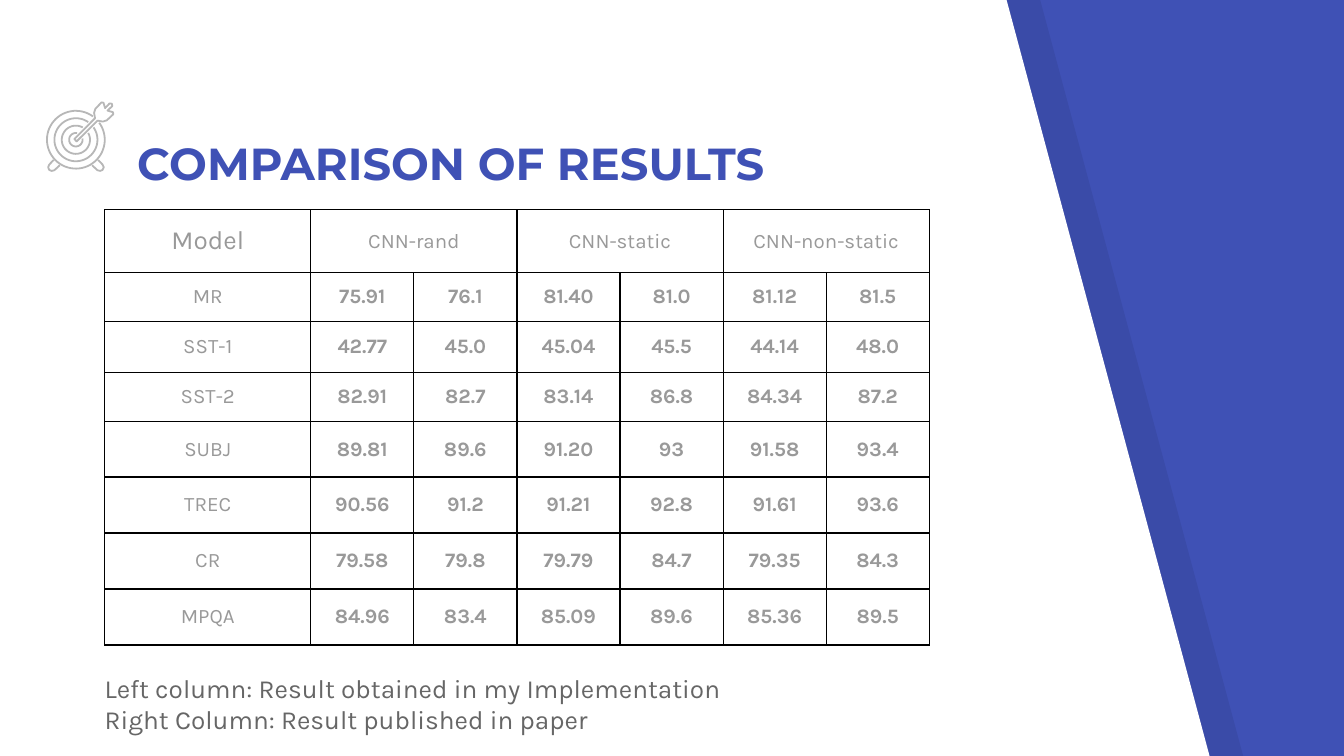
import dataclasses
import math

import pptx
import pptx.dml.color
import pptx.enum.text
import pptx.oxml
import pptx.oxml.ns
import pptx.util


@dataclasses.dataclass(frozen=True)
class Theme:
    """Colours, fonts and sizes of the slide."""
    accent: str = "3F51B5"
    paper: str = "FFFFFF"
    shade: str = "000000"
    rule: str = "000000"
    icon: str = "B7B7B7"
    table_text: str = "999999"
    caption_text: str = "666666"
    heading_font: str = "Montserrat"
    body_font: str = "Karla"
    title_size: float = 24
    large_size: float = 14
    cell_size: float = 11
    rule_width: float = 0.75
    icon_width: float = 0.96
    shade_opacity: int = 7


class SlideBuilder:
    """Places styled elements on a grid of 100 columns by 56.25 rows."""
    COLUMNS, ROWS = 100, 56.25

    def __init__(self, presentation, theme):
        """Add a title-only slide with an accent background."""
        self.theme = theme
        self.unit = presentation.slide_width / self.COLUMNS
        self.slide = presentation.slides.add_slide(presentation.slide_layouts[5])
        background = self.slide.background.fill
        background.solid()
        background.fore_color.rgb = self.color(theme.accent)

    def color(self, value):
        """Turn a hex string into a colour."""
        return pptx.dml.color.RGBColor.from_string(value)

    def length(self, units):
        """Turn grid units into a length."""
        return pptx.util.Emu(round(units * self.unit))

    def styled_run(self, paragraph, text, size, color, font, bold=False):
        """Add one styled run to a paragraph."""
        run = paragraph.add_run()
        run.text = text
        run.font.size = pptx.util.Pt(size)
        run.font.name = font
        run.font.bold = bold
        run.font.color.rgb = self.color(color)

    def frame(self, shape, anchor):
        """Set wrapping, insets and anchor of a text shape."""
        frame = shape.text_frame
        frame.word_wrap = True
        frame.auto_size = pptx.enum.text.MSO_AUTO_SIZE.NONE
        frame.vertical_anchor = anchor
        frame.margin_left = frame.margin_right = self.length(1)
        frame.margin_top = frame.margin_bottom = self.length(1)
        return frame

    def freeform(self, points, shapes=None, fill=None, line=None, closed=True, opacity=100):
        """Draw an outline through grid points."""
        vertices = [(self.length(x), self.length(y)) for x, y in points]
        builder = (shapes or self.slide.shapes).build_freeform(*vertices[0])
        builder.add_line_segments(vertices[1:], close=closed)
        shape = builder.convert_to_shape()
        shape.shadow.inherit = False
        if fill:
            shape.fill.solid()
            shape.fill.fore_color.rgb = self.color(fill)
            if opacity < 100:
                color = shape.element.spPr.find(".//" + pptx.oxml.ns.qn("a:srgbClr"))
                color.append(pptx.oxml.parse_xml(
                    f'<a:alpha {pptx.oxml.ns.nsdecls("a")} val="{opacity * 1000}"/>'))
        else:
            shape.fill.background()
        if line:
            shape.line.color.rgb = self.color(line)
            shape.line.width = pptx.util.Pt(self.theme.icon_width)
        else:
            shape.line.fill.background()

    def panel(self, top_edge, bottom_edge, fill, opacity=100, left=0):
        """Fill the area left of a slanted edge."""
        points = [(left, 0), (left, self.ROWS), (bottom_edge, self.ROWS), (top_edge, 0)]
        self.freeform(points, fill=fill, opacity=opacity)

    def title(self, text, left, top, width, height):
        """Place the title placeholder above the panels."""
        shape = self.slide.shapes.title
        shape.left, shape.top = self.length(left), self.length(top)
        shape.width, shape.height = self.length(width), self.length(height)
        shape.element.getparent().append(shape.element)
        paragraph = self.frame(shape, pptx.enum.text.MSO_ANCHOR.BOTTOM).paragraphs[0]
        paragraph.alignment = pptx.enum.text.PP_ALIGN.LEFT
        self.styled_run(paragraph, text, self.theme.title_size, self.theme.accent,
                        self.theme.heading_font, True)

    def caption(self, lines, left, top, width, height):
        """Set one paragraph for each line."""
        shape = self.slide.shapes.add_textbox(*map(self.length, (left, top, width, height)))
        frame = self.frame(shape, pptx.enum.text.MSO_ANCHOR.TOP)
        for index, line in enumerate(lines):
            paragraph = frame.add_paragraph() if index else frame.paragraphs[0]
            self.styled_run(paragraph, line, self.theme.large_size, self.theme.caption_text,
                            self.theme.body_font)

    def border(self, cell):
        """Rule all four sides of a cell."""
        properties = cell._tc.get_or_add_tcPr()
        width = pptx.util.Pt(self.theme.rule_width)
        for index, side in enumerate(("lnL", "lnR", "lnT", "lnB")):
            properties.insert(index, pptx.oxml.parse_xml(
                f'<a:{side} {pptx.oxml.ns.nsdecls("a")} w="{width}"><a:solidFill>'
                f'<a:srgbClr val="{self.theme.rule}"/></a:solidFill></a:{side}>'))

    def table(self, headings, records, left, top, widths, heights):
        """Build a table whose headings after the first span two columns."""
        area = map(self.length, (left, top, sum(widths), sum(heights)))
        table = self.slide.shapes.add_table(len(heights), len(widths), *area).table
        table.first_row = table.horz_banding = False
        for column, width in zip(table.columns, widths):
            column.width = self.length(width)
        for row, height in zip(table.rows, heights):
            row.height = self.length(height)
        header = [headings[0]]
        for heading in headings[1:]:
            table.cell(0, len(header)).merge(table.cell(0, len(header) + 1))
            header += [heading, ""]
        for row, values in enumerate([header, *records]):
            for column, value in enumerate(values):
                cell = table.cell(row, column)
                cell.fill.background()
                self.border(cell)
                cell.vertical_anchor = pptx.enum.text.MSO_ANCHOR.MIDDLE
                cell.margin_left = cell.margin_right = self.length(1)
                cell.margin_top = cell.margin_bottom = self.length(0.7)
                if value:
                    paragraph = cell.text_frame.paragraphs[0]
                    paragraph.alignment = pptx.enum.text.PP_ALIGN.CENTER
                    size = self.theme.cell_size if row or column else self.theme.large_size
                    self.styled_run(paragraph, value, size, self.theme.table_text,
                                    self.theme.body_font, bool(row and column))

    def target(self, x, y):
        """Draw a target with rings, two feet and a dart around a centre."""
        shapes = self.slide.shapes.add_group_shape().shapes
        outlines = []
        for radius, gap in ((2.15, 9), (1.6, 10), (1.05, 16), (0.5, 35)):
            angles = [math.radians(45 + gap + (360 - 2 * gap) * step / 60) for step in range(61)]
            outlines.append(([(radius * math.cos(angle), -radius * math.sin(angle))
                              for angle in angles], False))
        foot = [(-1.65, 1.5), (-1.98, 1.85), (-2.07, 2.05), (-1.98, 2.25),
                (-1.8, 2.32), (-1.6, 2.27), (-1.2, 1.9)]
        outlines += [([(side * dx, dy) for dx, dy in foot], False) for side in (1, -1)]
        half = [(-0.12, -0.05), (1.42, -1.6), (1.35, -2), (1.45, -2.3), (1.9, -2.78),
                (2.05, -2.75), (2.17, -2.35), (2.5, -2.7)]
        dart = half + [(2.68, -2.68)] + [(-dy, -dx) for dx, dy in reversed(half)]
        outlines.append((dart, True))
        for points, closed in outlines:
            self.freeform([(x + dx, y + dy) for dx, dy in points], shapes,
                          line=self.theme.icon, closed=closed)


def main():
    """Build and save the results slide."""
    presentation = pptx.Presentation()
    presentation.slide_width = pptx.util.Inches(10)
    presentation.slide_height = pptx.util.Emu(presentation.slide_width * 9 // 16)
    theme = Theme()
    builder = SlideBuilder(presentation, theme)
    builder.panel(77.4, 92.5, theme.shade, theme.shade_opacity, left=2.5)
    builder.panel(74.9, 90, theme.paper)
    builder.title("COMPARISON OF RESULTS", 9.2, 10.6, 52.5, 4.5)
    records = [
        ("MR", "75.91", "76.1", "81.40", "81.0", "81.12", "81.5"),
        ("SST-1", "42.77", "45.0", "45.04", "45.5", "44.14", "48.0"),
        ("SST-2", "82.91", "82.7", "83.14", "86.8", "84.34", "87.2"),
        ("SUBJ", "89.81", "89.6", "91.20", "93", "91.58", "93.4"),
        ("TREC", "90.56", "91.2", "91.21", "92.8", "91.61", "93.6"),
        ("CR", "79.58", "79.8", "79.79", "84.7", "79.35", "84.3"),
        ("MPQA", "84.96", "83.4", "85.09", "89.6", "85.36", "89.5"),
    ]
    builder.table(("Model", "CNN-rand", "CNN-static", "CNN-non-static"), records, 7.8, 15.6,
                  [15.33] + [7.67] * 6, [4.7, 3.6, 3.8, 3.7, 4.1] + [4.17] * 3)
    builder.target(5.65, 10.4)
    builder.caption(("Left column: Result obtained in my Implementation",
                     "Right Column: Result published in paper"), 6.8, 49, 61.5, 5.8)
    presentation.save("out.pptx")


if __name__ == "__main__":
    main()
